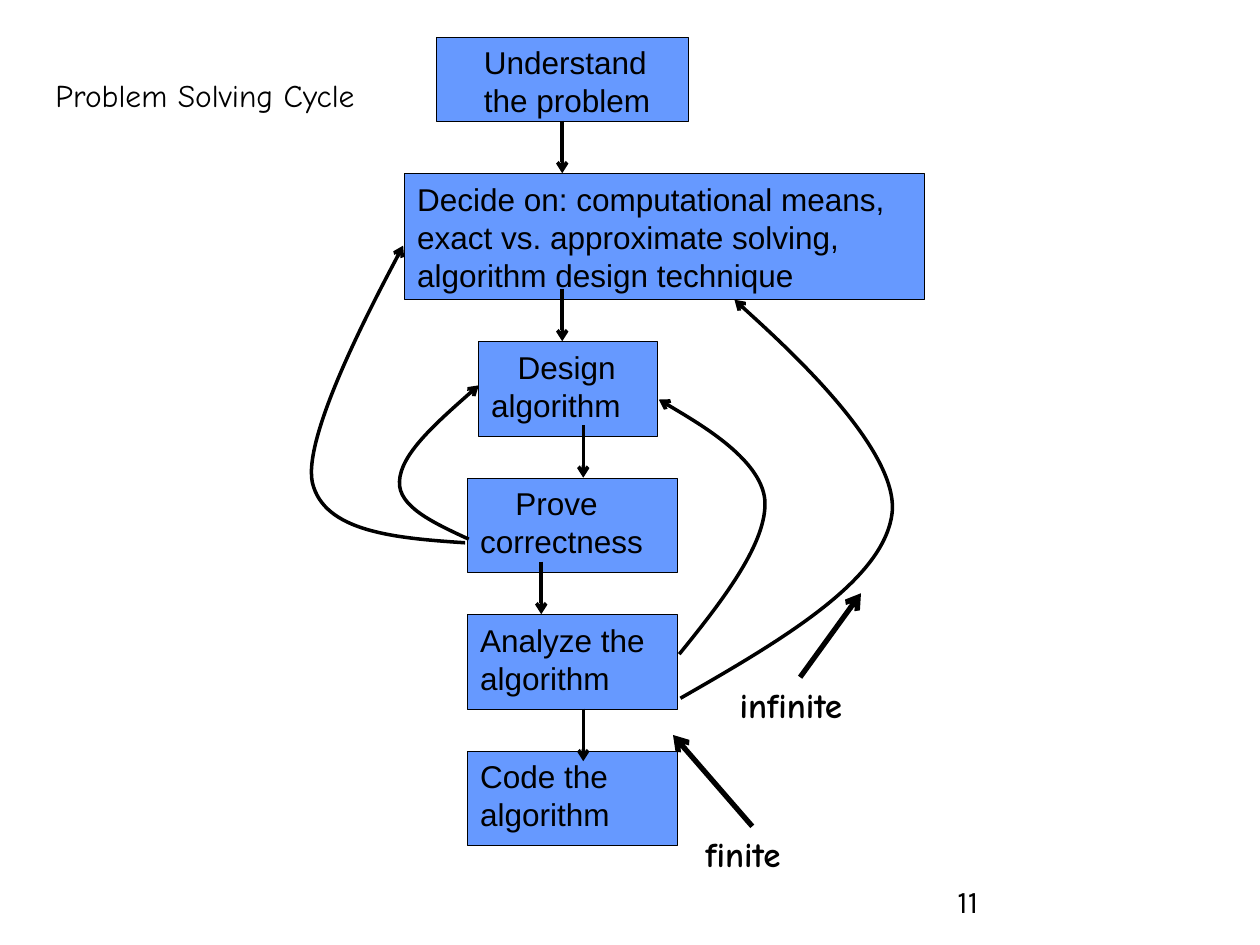
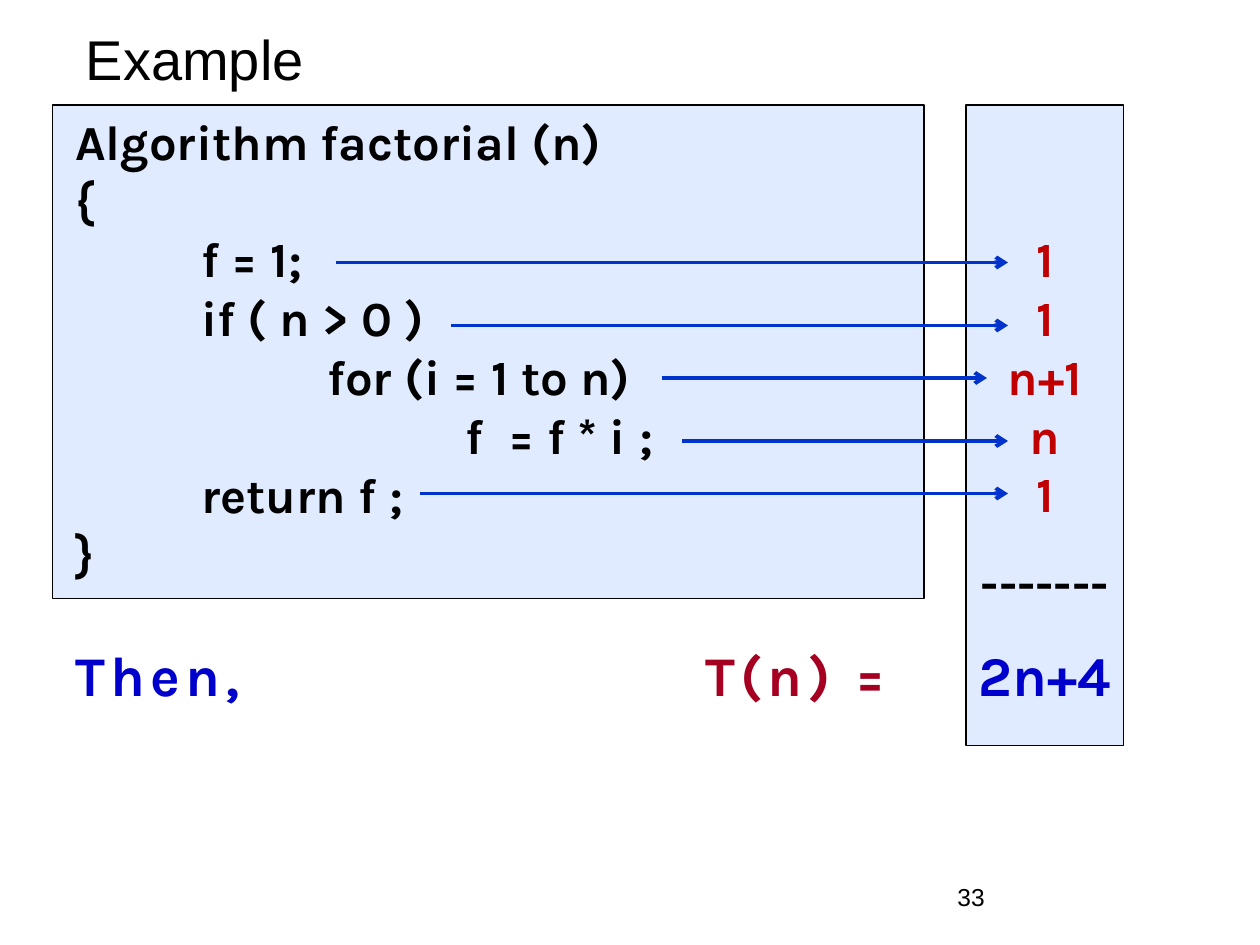
from typing import NamedTuple

from lxml.etree import SubElement
from pptx import Presentation
from pptx.dml.color import RGBColor
from pptx.enum.shapes import MSO_CONNECTOR as Connector, MSO_SHAPE as Shape
from pptx.enum.text import MSO_ANCHOR as Anchor, PP_ALIGN as Align
from pptx.oxml.ns import qn
from pptx.util import Inches, Pt

BLACK = RGBColor(0x00, 0x00, 0x00)
STEP_BLUE = RGBColor(0x66, 0x99, 0xFF)
PANEL_BLUE = RGBColor(0xE0, 0xEB, 0xFF)
ARROW_BLUE = RGBColor(0x00, 0x33, 0xCC)
RESULT_BLUE = RGBColor(0x00, 0x00, 0xCC)
COST_RED = RGBColor(0xC0, 0x00, 0x00)
FORMULA_RED = RGBColor(0xA5, 0x00, 0x21)

SANS, HAND, CODE = "Arial", "Comic Neue", "Karla"

# The slide is a grid of 240 columns and 180 rows.
CELL = Inches(10) / 240
TAB = Inches(1)
CODE_PITCH = Pt(33.5)


class Point(NamedTuple):
    col: float
    row: float


class Area(NamedTuple):
    col: float
    row: float
    cols: float
    rows: float


class Style(NamedTuple):
    font: str
    size: float
    color: RGBColor = BLACK
    bold: bool = False


class Step(NamedTuple):
    text: str
    area: Area
    margin: float = 0
    first_line: float = 0


class Callout(NamedTuple):
    text: str
    area: Area
    start: Point
    end: Point


class CodeLine(NamedTuple):
    text: str
    depth: int = 0


class CostArrow(NamedTuple):
    row: float
    start: float
    end: float = 192


STEP_STYLE = Style(SANS, 18)
CODE_STYLE = Style(CODE, 28, bold=True)
COST_STYLE = Style(CODE, 28, COST_RED, True)
RESULT_STYLE = Style(CODE, 32, RESULT_BLUE, True)

STEP_ROW, STEP_PITCH, STEP_ROWS = 65.1, 26, 18


def lower_step(index: int, text: str, col: float = 89.1, cols: float = 40,
               first_line: float = 0) -> Step:
    area = Area(col, STEP_ROW + index * STEP_PITCH, cols, STEP_ROWS)
    return Step(text, area, first_line=first_line)


STEPS = [
    Step("Understand\nthe problem", Area(83.1, 7.1, 48, 16), margin=0.28),
    Step("Decide on: computational means, exact vs. approximate solving, "
         "algorithm design technique", Area(77.1, 33.1, 99, 24)),
    lower_step(0, "Design algorithm", 91.2, 34, 0.21),
    lower_step(1, "Prove correctness", first_line=0.28),
    lower_step(2, "Analyze the algorithm"),
    lower_step(3, "Code the algorithm"),
]
STEP_ARROW_ROWS = 10
STEP_ARROWS = [Point(107.1, 23), Point(107.1, 55), Point(111.1, 81),
               Point(103.1, 107), Point(111.1, 135)]

# Each loop is a start followed by two cubic curves.
LOOPS = [
    [Point(89.3, 102.7), Point(82.6, 99.6), Point(75.8, 96.5), Point(76.1, 91.7),
     Point(76.3, 86.6), Point(83.8, 79.9), Point(91.2, 73.4)],
    [Point(88.6, 103.4), Point(75.1, 102.5), Point(61.7, 101.3), Point(59.5, 91.9),
     Point(57.6, 82.6), Point(76.8, 46.8), Point(76.8, 46.8)],
    [Point(129.4, 124.6), Point(138, 114), Point(146.2, 103.2), Point(145.7, 95.3),
     Point(145, 87.1), Point(125.5, 76.1), Point(125.5, 76.1)],
    [Point(129.6, 133), Point(149, 121.9), Point(168.2, 110.6), Point(169.9, 97.9),
     Point(171.6, 85.2), Point(139.9, 57.1), Point(139.9, 57.1)],
]
CALLOUTS = [
    Callout("finite", Area(132, 157.4, 23, 10.5), Point(143.3, 157.4), Point(128.2, 140)),
    Callout("infinite", Area(138.5, 129, 28, 10.5), Point(152.4, 129), Point(164, 113)),
]

FACTORIAL = [
    CodeLine("Algorithm factorial (n)"),
    CodeLine("{"),
    CodeLine("f = 1;", 1),
    CodeLine("if ( n > 0 )", 1),
    CodeLine("for (i = 1 to n)", 2),
    CodeLine(" f  = f * i ;", 3),
    CodeLine("return f ;", 1),
    CodeLine("}"),
]
COSTS = ["1", "1", "n+1", "n", "1"]
COST_ARROWS = [CostArrow(50, 64), CostArrow(62, 86), CostArrow(72, 126, 188),
               CostArrow(84, 130), CostArrow(94, 80)]


def emu(cells: float) -> int:
    return round(cells * CELL)


def set_font(font, style: Style) -> None:
    font.name, font.size, font.bold = style.font, Pt(style.size), style.bold
    font.color.rgb = style.color


def add_paragraph(frame, text: str, style: Style, margin: int = 0, first_line: int = 0):
    """Fill the first paragraph while it is empty, then append further ones."""
    first = frame.paragraphs[0]
    paragraph = frame.add_paragraph() if first.runs else first
    paragraph.add_run().text = text
    paragraph.alignment = Align.LEFT
    properties = paragraph._p.get_or_add_pPr()
    properties.set("marL", str(margin))
    properties.set("indent", str(first_line))
    set_font(paragraph.font, style)
    return paragraph


def add_text_frame(slide, area: Area, anchor=Anchor.TOP):
    frame = slide.shapes.add_textbox(*map(emu, area)).text_frame
    frame.word_wrap = True
    frame.vertical_anchor = anchor
    return frame


def add_label(slide, text: str, area: Area, style: Style, anchor=Anchor.TOP) -> None:
    add_paragraph(add_text_frame(slide, area, anchor), text, style)


def add_panel(slide, area: Area, fill: RGBColor):
    panel = slide.shapes.add_shape(Shape.RECTANGLE, *map(emu, area))
    panel.shadow.inherit = False
    panel.fill.solid()
    panel.fill.fore_color.rgb = fill
    panel.line.color.rgb = BLACK
    panel.line.width = Pt(0.75)
    panel.text_frame.word_wrap = True
    panel.text_frame.vertical_anchor = Anchor.TOP
    return panel


def style_arrow(shape, color: RGBColor, width: float) -> None:
    shape.line.color.rgb = color
    shape.line.width = Pt(width)
    outline = shape._element.spPr.find(qn("a:ln"))
    SubElement(outline, qn("a:tailEnd"), type="arrow")


def add_arrow(slide, start: Point, end: Point, color: RGBColor = BLACK,
              width: float = 2) -> None:
    arrow = slide.shapes.add_connector(
        Connector.STRAIGHT, *map(emu, start), *map(emu, end))
    style_arrow(arrow, color, width)
    SubElement(arrow._element.spPr, qn("a:effectLst"))


def add_loop(slide, points: list[Point]) -> None:
    """Join the on-curve points, then turn each segment into a cubic curve."""
    start, middle, end = points[::3]
    builder = slide.shapes.build_freeform(*map(emu, start))
    builder.add_line_segments([tuple(map(emu, middle)), tuple(map(emu, end))], close=False)
    loop = builder.convert_to_shape()
    segments = list(loop._element.spPr.iter(qn("a:lnTo")))
    for segment, controls in zip(segments, (points[1:4], points[4:])):
        curve = SubElement(segment.getparent(), qn("a:cubicBezTo"))
        for point in controls:
            SubElement(curve, qn("a:pt"), x=str(emu(point.col) - loop.left),
                       y=str(emu(point.row) - loop.top))
        segment.getparent().remove(segment)
    loop.shadow.inherit = False
    loop.fill.background()
    style_arrow(loop, BLACK, 2)


def add_page_number(slide, number: int, style: Style) -> None:
    add_label(slide, str(number), Area(180, 166.8, 56, 9.6), style)


def add_step(slide, step: Step) -> None:
    frame = add_panel(slide, step.area, STEP_BLUE).text_frame
    for line in step.text.split("\n"):
        add_paragraph(frame, line, STEP_STYLE, Inches(step.margin), Inches(step.first_line))


def build_cycle_slide(slide) -> None:
    add_page_number(slide, 11, Style(CODE, 18))
    for step in STEPS:
        add_step(slide, step)
    for start in STEP_ARROWS:
        add_arrow(slide, start, Point(start.col, start.row + STEP_ARROW_ROWS))
    for loop in LOOPS:
        add_loop(slide, loop)
    for callout in CALLOUTS:
        add_label(slide, callout.text, callout.area, Style(HAND, 20, bold=True))
        add_arrow(slide, callout.start, callout.end, width=3)
    add_label(slide, "Problem Solving Cycle", Area(8.2, 13.4, 66, 9.6), Style(HAND, 18))


def add_conclusion(frame) -> None:
    conclusion = add_paragraph(frame, "Then,", RESULT_STYLE)
    conclusion.space_before = CODE_PITCH
    conclusion._p.get_or_add_pPr().set("defTabSz", str(5 * TAB))
    formula = conclusion.add_run()
    formula.text = "\tT(n) ="
    formula.font.color.rgb = FORMULA_RED
    for run in conclusion.runs:
        run._r.get_or_add_rPr().set("spc", "300")


def add_cost_column(slide) -> None:
    frame = add_panel(slide, Area(184, 20, 30, 122), PANEL_BLUE).text_frame
    frame.margin_left = frame.margin_right = 0
    frame.margin_top = Inches(0.05) + 2 * CODE_PITCH
    for cost in COSTS:
        add_paragraph(frame, cost, COST_STYLE)
    for text, style in (("-------", CODE_STYLE), ("2n+4", RESULT_STYLE)):
        add_paragraph(frame, text, style).space_before = CODE_PITCH // 2
    for paragraph in frame.paragraphs:
        paragraph.alignment = Align.CENTER


def build_example_slide(slide) -> None:
    add_panel(slide, Area(10, 20, 166, 94), PANEL_BLUE)
    frame = add_text_frame(slide, Area(12, 20, 216, 117))
    for line in FACTORIAL:
        add_paragraph(frame, line.text, CODE_STYLE, line.depth * TAB)
    add_conclusion(frame)
    add_page_number(slide, 33, Style(SANS, 14))
    add_label(slide, "Example", Area(14, 1, 190, 20), Style(SANS, 32), Anchor.MIDDLE)
    add_cost_column(slide)
    for arrow in COST_ARROWS:
        add_arrow(slide, Point(arrow.start, arrow.row), Point(arrow.end, arrow.row),
                  ARROW_BLUE, 2.25)


def main() -> None:
    deck = Presentation()
    deck.slide_width, deck.slide_height = emu(240), emu(180)
    blank = deck.slide_layouts[6]
    for build in (build_cycle_slide, build_example_slide):
        build(deck.slides.add_slide(blank))
    deck.save("out.pptx")


if __name__ == "__main__":
    main()
